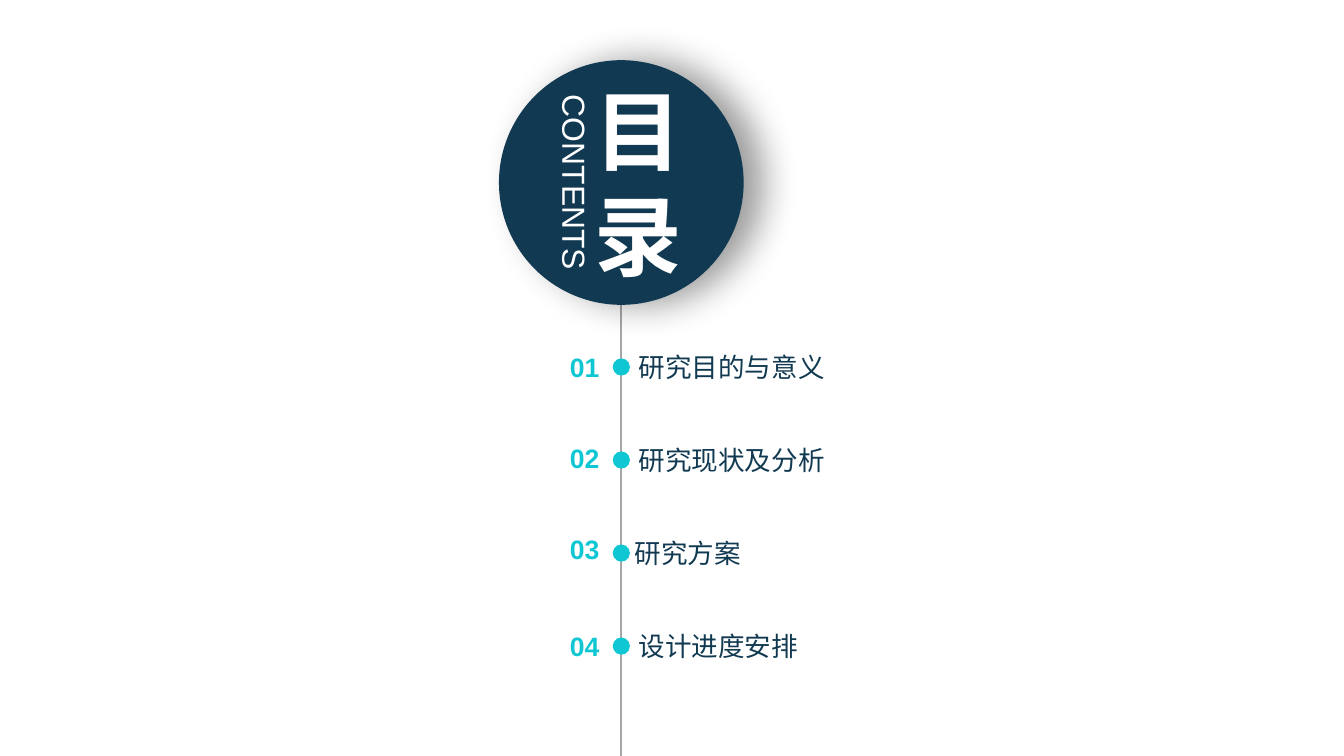
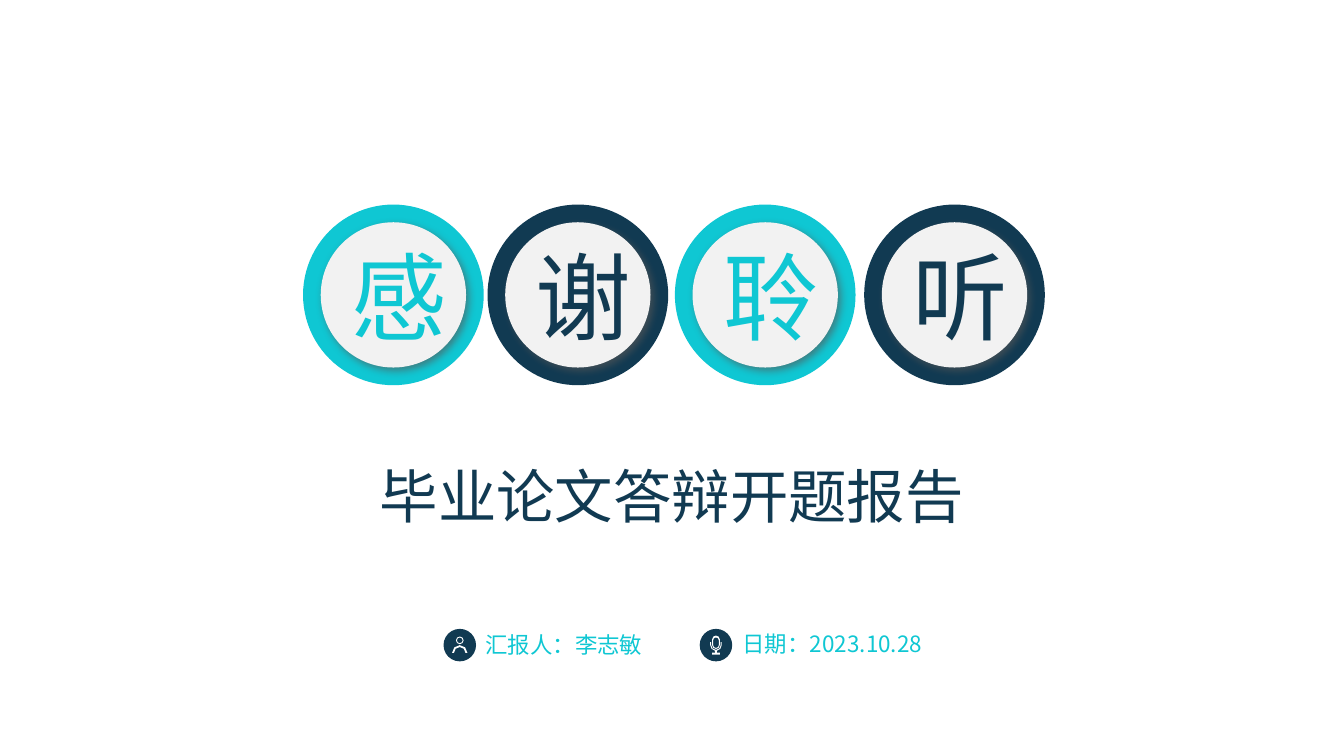
import math
from dataclasses import dataclass

import pptx
import pptx.dml.color
import pptx.enum.shapes
import pptx.enum.text
import pptx.oxml.ns
import pptx.util
from lxml import etree

Inches = pptx.util.Inches
SHAPE = pptx.enum.shapes.MSO_SHAPE
ALIGN = pptx.enum.text.PP_ALIGN
ANCHOR = pptx.enum.text.MSO_ANCHOR
AUTO_SIZE = pptx.enum.text.MSO_AUTO_SIZE
qn = pptx.oxml.ns.qn


@dataclass(frozen=True)
class Theme:
    navy: str = "113A52"
    cyan: str = "0FC7D3"
    white: str = "FFFFFF"
    disc: str = "F2F2F2"
    rule: str = "A6A6A6"
    latin: str = "Arial"
    chinese: str = "Noto Sans CJK SC"
    badge_size: float = 72
    contents_size: float = 66
    report_size: float = 44
    subtitle_size: float = 24
    item_size: float = 20
    detail_size: float = 16.9
    # colour, opacity %, blur pt, distance pt, direction in degrees
    wide_shadow: tuple = ("000000", 40, 28, 15, 0)
    disc_shadow: tuple = ("595959", 64, 6, 3, 45)


THEME = Theme()

# number, label, top of the number, left of the label
CONTENTS = [
    ("01", "研究目的与意义", 3.67, 6.68),
    ("02", "研究现状及分析", 4.62, 6.68),
    ("03", "研究方案", 5.58, 6.64),
    ("04", "设计进度安排", 6.59, 6.68),
]
BADGES = [
    ("感", 3.17, THEME.cyan),
    ("谢", 5.10, THEME.navy),
    ("聆", 7.06, THEME.cyan),
    ("听", 9.04, THEME.navy),
]


def rgb(color):
    return pptx.dml.color.RGBColor.from_string(color)


def place(shape, left, top, width, height):
    shape.left, shape.top = Inches(left), Inches(top)
    shape.width, shape.height = Inches(width), Inches(height)


def write(shape, text, size, color, font=THEME.latin, bold=False,
          align=ALIGN.LEFT, anchor=ANCHOR.TOP, insets=None, wrap=True,
          auto_size=AUTO_SIZE.SHAPE_TO_FIT_TEXT):
    frame = shape.text_frame
    frame.text = text
    frame.word_wrap = wrap
    frame.auto_size = auto_size
    frame.vertical_anchor = anchor
    if insets:
        frame.margin_left = frame.margin_right = Inches(insets[0])
        frame.margin_top = frame.margin_bottom = Inches(insets[1])
    for paragraph in frame.paragraphs:
        paragraph.alignment = align
        for run in paragraph.runs:
            run.font.size = pptx.util.Pt(size)
            run.font.bold = bold
            run.font.name = font
            run.font.color.rgb = rgb(color)
            if font == THEME.chinese:
                latin = run.font._element.find(qn("a:latin"))
                east_asian = etree.Element(qn("a:ea"), typeface=font)
                latin.addnext(east_asian)


def add_text(slide, box, text, size, color, **style):
    textbox = slide.shapes.add_textbox(*map(Inches, box))
    write(textbox, text, size, color, **style)
    return textbox


def set_title(slide, box, text, size, color, **style):
    """Fill the title placeholder and bring it to the front."""
    title = slide.shapes.title
    place(title, *box)
    write(title, text, size, color, align=ALIGN.CENTER, **style)
    slide.shapes._spTree.append(title._element)


def paint(shape, fill, shadow=None):
    shape.fill.solid()
    shape.fill.fore_color.rgb = rgb(fill)
    shape.line.fill.background()
    shape.shadow.inherit = False
    if shadow:
        color, opacity, blur, distance, direction = shadow
        effects = shape._element.spPr.find(qn("a:effectLst"))
        outer = etree.SubElement(
            effects, qn("a:outerShdw"), blurRad=str(blur * 12700),
            dist=str(distance * 12700), dir=str(direction * 60000),
            algn="ctr", rotWithShape="0")
        tint = etree.SubElement(outer, qn("a:srgbClr"), val=color)
        etree.SubElement(tint, qn("a:alpha"), val=str(opacity * 1000))


def add_disc(shapes, left, top, diameter, fill, shadow=None, kind=SHAPE.OVAL):
    disc = shapes.add_shape(kind, *map(Inches, (left, top, diameter, diameter)))
    if kind == SHAPE.ROUNDED_RECTANGLE:
        disc.adjustments[0] = 0.5
    paint(disc, fill, shadow)
    return disc


def add_vertical_rule(slide, x, top, bottom):
    rule = slide.shapes.add_connector(
        pptx.enum.shapes.MSO_CONNECTOR.STRAIGHT,
        *map(Inches, (x, top, x, bottom)))
    rule.line.color.rgb = rgb(THEME.rule)
    rule.line.width = pptx.util.Pt(1.5)
    etree.SubElement(rule._element.spPr, qn("a:effectLst"))


def arc(x, y, radius, start, end):
    """Points of an arc; angles run clockwise from the right, in degrees."""
    steps = math.ceil(abs(end - start) / 45)
    angles = [math.radians(start + (end - start) * i / steps)
              for i in range(steps + 1)]
    return [(x + radius * math.cos(a), y + radius * math.sin(a))
            for a in angles]


def circle(x, y, radius):
    return arc(x, y, radius, 0, 315)


def capsule(x, top, bottom, radius):
    return (arc(x, top + radius, radius, 180, 360)
            + arc(x, bottom - radius, radius, 0, 180))


def add_outline(shapes, *contours):
    """Draw closed contours as one white shape; a second contour is a hole."""
    contours = [[(Inches(x), Inches(y)) for x, y in points]
                for points in contours]
    builder = shapes.build_freeform(*contours[0][0], scale=1.0)
    builder.add_line_segments(contours[0][1:], close=True)
    for points in contours[1:]:
        builder.move_to(*points[0])
        builder.add_line_segments(points[1:], close=True)
    paint(builder.convert_to_shape(), THEME.white)


def draw_person(shapes, x, y):
    add_outline(shapes, circle(x, y - 0.05, 0.04), circle(x, y - 0.05, 0.03))
    add_outline(shapes, arc(x, y + 0.08, 0.08, 180, 360)
                + arc(x, y + 0.08, 0.06, 360, 180))


def draw_microphone(shapes, x, y):
    add_outline(shapes, capsule(x, y - 0.1, y + 0.04, 0.04),
                capsule(x, y - 0.08, y + 0.03, 0.03))
    stand = [(-0.01, 0.08), (-0.04, 0.08), (-0.04, 0.1),
             (0.04, 0.1), (0.04, 0.08), (0.01, 0.08)]
    add_outline(
        shapes,
        [(x - 0.06, y - 0.03)] + arc(x, y, 0.06, 180, 100)
        + [(x + dx, y + dy) for dx, dy in stand]
        + arc(x, y, 0.06, 80, 0) + [(x + 0.06, y - 0.03), (x + 0.05, y - 0.03)]
        + arc(x, y, 0.05, 0, 180) + [(x - 0.05, y - 0.03)])


def add_icon(slide, left, top, draw_symbol):
    diameter = 0.34
    icon = slide.shapes.add_group_shape()
    add_disc(icon.shapes, left, top, diameter, THEME.navy)
    draw_symbol(icon.shapes, left + diameter / 2, top + diameter / 2)


def add_badge(slide, character, left, color):
    top, outer, inner = 2.14, 1.89, 1.52
    rim = (outer - inner) / 2
    badge = slide.shapes.add_group_shape()
    add_disc(badge.shapes, left, top, outer, color,
             kind=SHAPE.ROUNDED_RECTANGLE)
    face = add_disc(badge.shapes, left + rim, top + rim, inner, THEME.disc,
                    THEME.disc_shadow, SHAPE.ROUNDED_RECTANGLE)
    write(face, character, THEME.badge_size, color, font=THEME.chinese,
          align=ALIGN.CENTER, anchor=ANCHOR.MIDDLE, auto_size=AUTO_SIZE.NONE)


def add_contents_item(slide, index, number, label, number_top, label_left):
    dot_top = 3.75 + index * 2.92 / 3
    add_disc(slide.shapes, 6.41, dot_top, 0.18, THEME.cyan)
    add_text(slide, (5.68, number_top, 0.59, 0.34), number, THEME.item_size,
             THEME.cyan, bold=True, align=ALIGN.RIGHT, insets=(0, 0))
    add_text(slide, (label_left, dot_top - 0.08, 3.37, 0.34), label,
             THEME.item_size, THEME.navy, insets=(0, 0))


def build_contents(slide):
    add_vertical_rule(slide, 6.5, 0.72, 7.91)
    for index, item in enumerate(CONTENTS):
        add_contents_item(slide, index, *item)
    add_disc(slide.shapes, 5.22, 0.63, 2.56, THEME.navy, THEME.wide_shadow)
    set_title(slide, (5.85, 0.71, 1.65, 2.38), "目\n录", THEME.contents_size,
              THEME.white, bold=True, anchor=ANCHOR.MIDDLE, insets=(0, 0),
              auto_size=AUTO_SIZE.NONE)
    subtitle = add_text(slide, (4.77, 1.66, 2.49, 0.5), "CONTENTS",
                        THEME.subtitle_size, THEME.white, align=ALIGN.CENTER)
    subtitle.rotation = 90


def build_closing(slide):
    for badge in BADGES:
        add_badge(slide, *badge)
    set_title(slide, (2.8, 4.74, 8.46, 0.88), "毕业论文答辩开题报告",
              THEME.report_size, THEME.navy, font=THEME.chinese,
              insets=(0.14, 0.07))
    add_icon(slide, 4.64, 6.58, draw_person)
    add_icon(slide, 7.32, 6.58, draw_microphone)
    for box, detail in (((7.67, 6.54, 2.14, 0.39), "日期：2023.10.28"),
                        ((4.98, 6.55, 1.86, 0.39), "汇报人：李志敏")):
        add_text(slide, box, detail, THEME.detail_size, THEME.cyan,
                 font=THEME.chinese, wrap=False)


def main():
    deck = pptx.Presentation()
    deck.slide_width, deck.slide_height = Inches(14.06), Inches(7.91)
    title_only = deck.slide_layouts[5]
    for build in (build_contents, build_closing):
        build(deck.slides.add_slide(title_only))
    deck.save("out.pptx")


if __name__ == "__main__":
    main()
